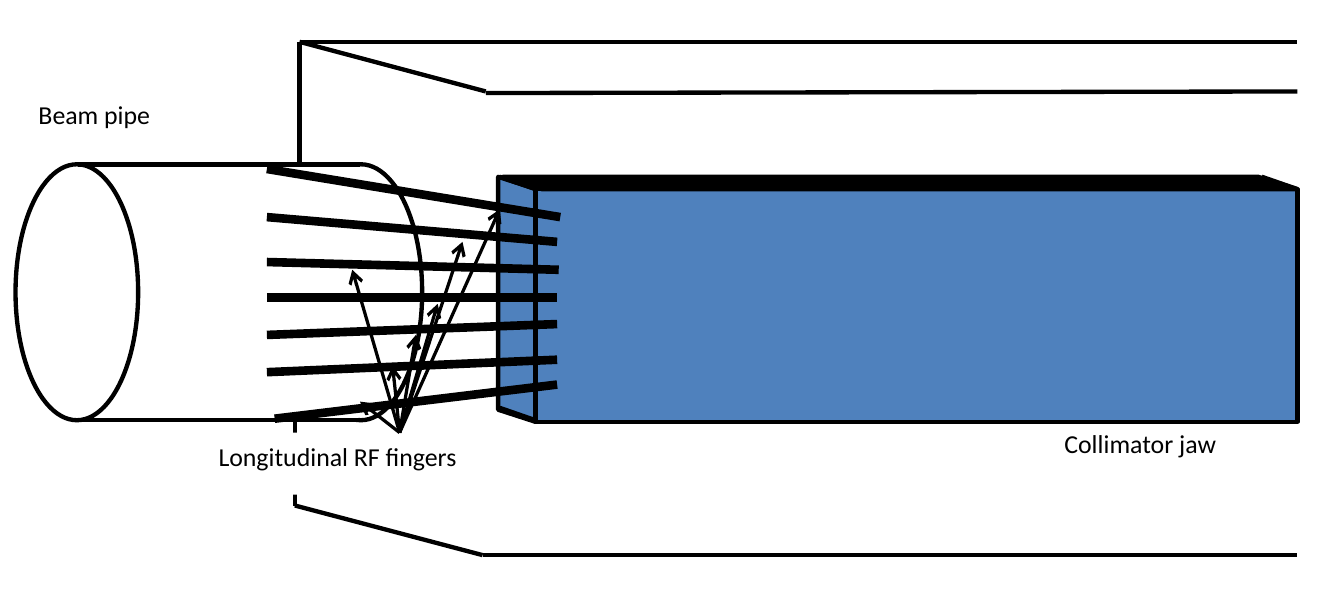
import pptx
import pptx.dml.color
import pptx.enum.shapes
import pptx.enum.text
import pptx.oxml
import pptx.oxml.ns
import pptx.util

Inches = pptx.util.Inches
Pt = pptx.util.Pt
SHAPES = pptx.enum.shapes.MSO_SHAPE

COLORS = {"ink": "000000", "jaw": "4F81BD", "paper": "FFFFFF"}


def rgb(name):
    return pptx.dml.color.RGBColor.from_string(COLORS[name])


def write_text(shape, text, size=12, font="Calibri", color="ink"):
    frame = shape.text_frame
    frame.word_wrap = True
    frame.auto_size = pptx.enum.text.MSO_AUTO_SIZE.NONE
    frame.vertical_anchor = pptx.enum.text.MSO_ANCHOR.TOP
    paragraph = frame.paragraphs[0]
    paragraph.alignment = pptx.enum.text.PP_ALIGN.LEFT
    run = paragraph.add_run()
    run.text = text
    run.font.size = Pt(size)
    run.font.name = font
    run.font.color.rgb = rgb(color)


class Diagram:
    """Drawing style and the slide it applies to."""

    outline = 2

    def __init__(self, slide):
        self.slide = slide

    def shape(self, kind, box, fill=None, outlined=True, adjustment=None,
              rotation=0, flipped=False):
        shape = self.slide.shapes.add_shape(kind, *map(Inches, box))
        shape.shadow.inherit = False
        shape.rotation = rotation
        if fill:
            shape.fill.solid()
            shape.fill.fore_color.rgb = rgb(fill)
        else:
            shape.fill.background()
        if outlined:
            shape.line.color.rgb = rgb("ink")
            shape.line.width = Pt(self.outline)
        else:
            shape.line.fill.background()
        if adjustment is not None:
            shape.adjustments[0] = adjustment
        if flipped:
            shape._element.spPr.xfrm.set("flipH", "1")
        return shape

    def line(self, start, end, width=outline, color="ink"):
        connector = self.slide.shapes.add_connector(
            pptx.enum.shapes.MSO_CONNECTOR.STRAIGHT,
            *map(Inches, (*start, *end)))
        connector.line.color.rgb = rgb(color)
        connector.line.width = Pt(width)
        properties = connector._element.spPr
        properties.append(pptx.oxml.parse_xml(
            "<a:effectLst %s/>" % pptx.oxml.ns.nsdecls("a")))
        return connector

    def arrow_from(self, label, start, end):
        connector = self.line(start, end, width=1.5)
        connector.begin_connect(label, 0)
        head = pptx.oxml.parse_xml(
            '<a:tailEnd %s type="arrow"/>' % pptx.oxml.ns.nsdecls("a"))
        connector.line._get_or_add_ln().append(head)

    def label(self, box, text):
        shape = self.slide.shapes.add_textbox(*map(Inches, box))
        write_text(shape, text)

    def filled_label(self, box, text):
        shape = self.shape(SHAPES.RECTANGLE, box, "paper", outlined=False)
        write_text(shape, text)
        return shape


def main():
    presentation = pptx.Presentation()
    presentation.slide_width = Inches(8.66)
    presentation.slide_height = Inches(3.94)
    slide = presentation.slides.add_slide(presentation.slide_layouts[6])
    diagram = Diagram(slide)

    # Collimator jaw: end face and front face
    jaw_left, jaw_right, jaw_top, jaw_bottom = 3.45, 8.36, 1.22, 2.71
    diagram.shape(SHAPES.PARALLELOGRAM, (2.54, 1.81, 1.58, 0.24), "jaw",
                  adjustment=0.324, rotation=90)
    diagram.shape(SHAPES.RECTANGLE, (jaw_left, jaw_top, 4.91, 1.5), "jaw")

    # Beam pipe: two ends, a mask over the hidden arc, and the walls
    pipe_top, pipe_height = 1.06, 1.65
    for left in (1.93, 0.1):
        diagram.shape(SHAPES.OVAL, (left, pipe_top, 0.79, pipe_height))
    diagram.shape(SHAPES.RECTANGLE, (1.77, pipe_top, 0.54, pipe_height),
                  "paper", outlined=False)
    for wall in (pipe_top, pipe_top + pipe_height):
        diagram.line((0.5, wall), (2.32, wall))

    # Longitudinal RF fingers
    fingers = [
        ((1.77, 2.7), (3.59, 2.48)),
        ((1.72, 1.09), (3.61, 1.4)),
        ((1.72, 1.69), (3.6, 1.74)),
        ((1.72, 1.92), (3.59, 1.92)),
        ((1.72, 2.16), (3.59, 2.09)),
        ((1.72, 2.4), (3.59, 2.32)),
        ((1.72, 1.4), (3.59, 1.56)),
    ]
    for start, end in fingers:
        diagram.line(start, end, width=4)

    # Tank outline
    tank_edges = [
        ((3.13, 0.6), (jaw_right, 0.59)),
        ((3.11, 3.58), (jaw_right, 3.58)),
        ((3.13, 0.59), (1.93, 0.27)),
        ((1.93, 0.27), (jaw_right, 0.27)),
        ((1.93, 1.06), (1.93, 0.27)),
        ((1.9, 3.26), (1.9, 2.7)),
        ((3.11, 3.58), (1.9, 3.26)),
    ]
    for start, end in tank_edges:
        diagram.line(start, end)

    # Labels, with arrows from the finger label
    diagram.label((0.15, 0.59, 1.3, 0.4), "Beam pipe")
    diagram.label((6.76, 2.71, 1.68, 0.4), "Collimator jaw")
    finger_label = diagram.filled_label((1.31, 2.79, 2.53, 0.4),
                                        "Longitudinal RF fingers")
    arrow_tips = [(2.32, 2.59), (2.53, 2.36), (2.68, 2.16), (2.82, 1.96),
                  (2.27, 1.74), (2.98, 1.56), (3.22, 1.35)]
    for tip in arrow_tips:
        diagram.arrow_from(finger_label, (2.58, 2.79), tip)

    # Depth edges and dark top face of the jaw
    for x, y in ((jaw_left, jaw_top), (jaw_left, jaw_bottom),
                 (jaw_right, jaw_top)):
        diagram.line((x, y), (x - 0.23, y - 0.08))
    diagram.line((8.13, jaw_top), (8.13, 1.14), color="paper")
    diagram.shape(SHAPES.PARALLELOGRAM, (3.24, 1.14, 5.12, 0.08), "ink",
                  adjustment=3.164, flipped=True)

    presentation.save("out.pptx")


if __name__ == "__main__":
    main()
